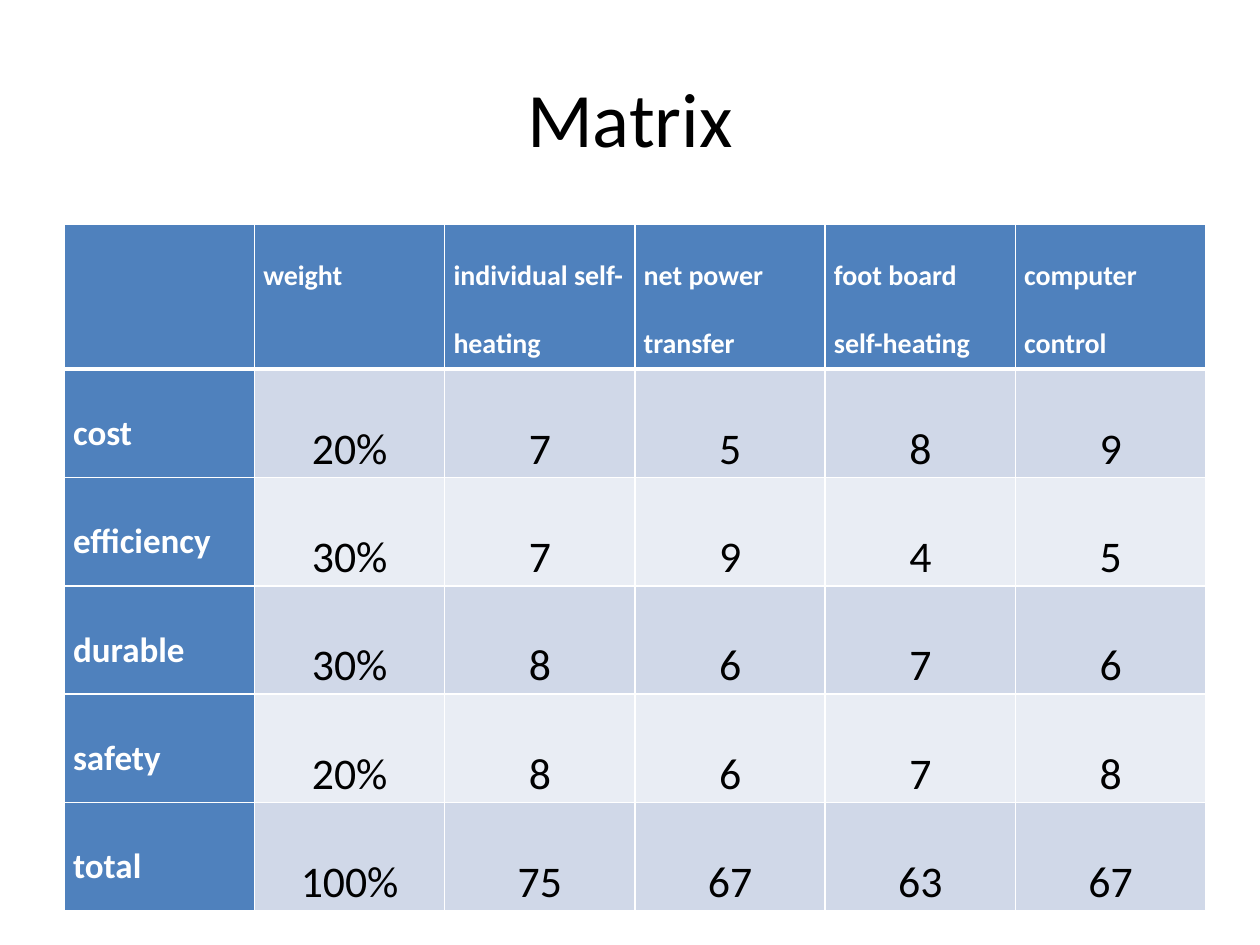
import pptx
import pptx.util
import pptx.dml.color
import pptx.enum.text
import pptx.oxml
import pptx.oxml.ns
from pptx.util import Inches, Pt

BLUE, WHITE, BLACK = "4F81BD", "FFFFFF", "000000"
BANDS = ["D0D8E8", "E9EDF4"]
CENTER = pptx.enum.text.PP_ALIGN.CENTER
LEFT = pptx.enum.text.PP_ALIGN.LEFT

ROWS = [
    ["", "weight", "individual self-heating", "net power transfer",
     "foot board self-heating", "computer control"],
    ["cost", "20%", "7", "5", "8", "9"],
    ["efficiency", "30%", "7", "9", "4", "5"],
    ["durable", "30%", "8", "6", "7", "6"],
    ["safety", "20%", "8", "6", "7", "8"],
    ["total", "100%", "75", "67", "63", "67"],
]


def rgb(value):
    return pptx.dml.color.RGBColor.from_string(value)


def add_border(cell, side, width):
    """Draw a white border on one side (L, R, T or B); call before setting the fill."""
    cell._tc.get_or_add_tcPr().append(pptx.oxml.parse_xml(
        f'<a:ln{side} {pptx.oxml.ns.nsdecls("a")} w="{Pt(width)}">'
        f'<a:solidFill><a:srgbClr val="{WHITE}"/></a:solidFill></a:ln{side}>'))


prs = pptx.Presentation()
prs.slide_width, prs.slide_height = Inches(10), Inches(7.5)
s = prs.slides.add_slide(prs.slide_layouts[6])

title = s.shapes.add_textbox(Inches(0.5), Inches(0.3), Inches(9), Inches(1.25))
tf = title.text_frame
tf.word_wrap = True
tf.vertical_anchor = pptx.enum.text.MSO_ANCHOR.MIDDLE
p = tf.paragraphs[0]
p.text = "Matrix"
p.alignment = CENTER
p.font.name, p.font.size = "Calibri", Pt(44)
p.font.color.rgb = rgb(BLACK)

table = s.shapes.add_table(len(ROWS), len(ROWS[0]), Inches(0.51), Inches(1.78),
                           Inches(9.06), Inches(5.43)).table
for col in table.columns:
    col.width = Inches(1.51)
for i, row in enumerate(table.rows):
    row.height = Inches(0.86 if i else 1.15)

for i, texts in enumerate(ROWS):
    for j, text in enumerate(texts):
        cell = table.cell(i, j)
        heading = i == 0 or j == 0
        cell.margin_left = cell.margin_right = Inches(0.07)
        cell.margin_top = cell.margin_bottom = 0
        add_border(cell, "L", 1)
        add_border(cell, "R", 1)
        add_border(cell, "T", 3 if i == 1 else 1)
        add_border(cell, "B", 3 if i == 0 else 1)
        cell.fill.solid()
        cell.fill.fore_color.rgb = rgb(BLUE if heading else BANDS[(i - 1) % 2])
        if not text:
            continue
        p = cell.text_frame.paragraphs[0]
        p.text = text
        p.line_spacing = 2.0
        p.alignment = LEFT if heading else CENTER
        p.font.name = "Calibri"
        p.font.size = Pt(16 if i == 0 else 20 if j == 0 else 25)
        p.font.bold = heading
        p.font.color.rgb = rgb(WHITE if heading else BLACK)

prs.save("out.pptx")
